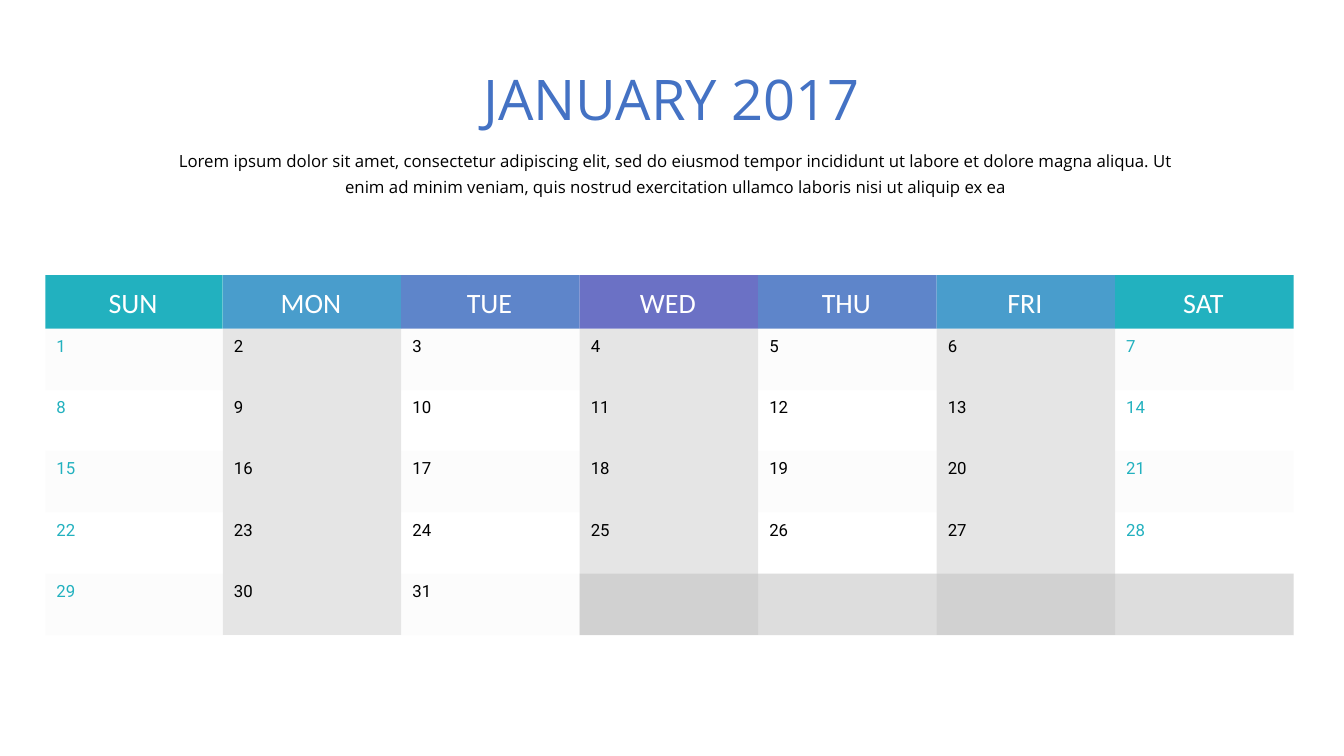
from pptx import Presentation
from pptx.dml.color import RGBColor
from pptx.enum.shapes import MSO_SHAPE as Shape
from pptx.enum.text import MSO_ANCHOR as Anchor, MSO_AUTO_SIZE as Auto, PP_ALIGN as Align
from pptx.oxml.ns import qn
from pptx.util import Emu, Pt
from lxml.etree import SubElement

SCALE = 9144
LEFT, TOP, WIDE, HEAD, TALL = 45, 273, 1238, 53, 61
TEAL, BLUE, SLATE, PLUM = "22B1BF", "499DCC", "5E85CA", "6B71C5"
BLACK, WHITE = "000000", "FFFFFF"
DAYS = [("SUN", TEAL), ("MON", BLUE), ("TUE", SLATE), ("WED", PLUM),
        ("THU", SLATE), ("FRI", BLUE), ("SAT", TEAL)]
LAST = 31


def px(size):
    return Emu(size * SCALE)


def color(code):
    return RGBColor.from_string(code)


def col_x(col):
    return LEFT + WIDE * col // 7


def row_y(row):
    return TOP + HEAD + 243 * row // 4


class Painter:
    title_font = "Open Sans"
    day_font = "Calibri"
    date_font = "Roboto"

    def __init__(self, deck):
        self.slide = deck.slides.add_slide(deck.slide_layouts[5])

    def letter(self, shape, text, size, font, code, align=Align.LEFT,
               anchor=Anchor.MIDDLE, inset=6, wrap=True, fit=Auto.SHAPE_TO_FIT_TEXT):
        frame = shape.text_frame
        frame.margin_left = frame.margin_right = px(inset)
        frame.margin_top = frame.margin_bottom = px(inset)
        frame.word_wrap = wrap
        frame.auto_size = fit
        frame.vertical_anchor = anchor
        line = frame.paragraphs[0]
        line.alignment = align
        run = line.add_run()
        run.text = text
        run.font.size = Pt(size)
        run.font.name = font
        run.font.color.rgb = color(code)
        return line

    def title(self, text, x, y, w, h):
        shape = self.slide.shapes.title
        shape.left, shape.top, shape.width, shape.height = map(px, (x, y, w, h))
        self.letter(shape, text, 40, self.title_font, "4472C4", Align.CENTER,
                    Anchor.TOP, 0, False)

    def text(self, x, y, w, h, *style, **more):
        box = self.slide.shapes.add_textbox(*map(px, (x, y, w, h)))
        return self.letter(box, *style, **more)

    def block(self, x, y, w, h, code, alpha=100):
        shape = self.slide.shapes.add_shape(Shape.RECTANGLE, *map(px, (x, y, w, h)))
        shape.shadow.inherit = False
        shape.line.fill.background()
        shape.fill.solid()
        shape.fill.fore_color.rgb = color(code)
        if alpha < 100:
            tint = next(shape.element.iter(qn("a:srgbClr")))
            SubElement(tint, qn("a:alpha")).set("val", str(alpha * 1000))
        return shape

    def header(self, col, name, code):
        x = col_x(col)
        shape = self.block(x, TOP, col_x(col + 1) - x, HEAD, code)
        self.letter(shape, name, 20, self.day_font, WHITE, Align.CENTER, fit=Auto.NONE)
        shape.text_frame.margin_right = px(8)

    def date(self, day):
        row, col = divmod(day - 1, 7)
        code = TEAL if col in (0, 6) else BLACK
        self.text(col_x(col) + 5, row_y(row), 65, 35, str(day), 12, self.date_font, code)


def main():
    deck = Presentation()
    deck.slide_width, deck.slide_height = px(1333), px(750)
    page = Painter(deck)
    page.title("JANUARY 2017", 472, 64, 388, 67)
    intro = page.text(
        171, 145, 999, 50,
        "Lorem ipsum dolor sit amet, consectetur adipiscing elit, sed do eiusmod "
        "tempor incididunt ut labore et dolore magna aliqua. Ut enim ad minim veniam, "
        "quis nostrud exercitation ullamco laboris nisi ut aliquip ex ea",
        12, page.title_font, BLACK, align=Align.CENTER, anchor=Anchor.TOP, inset=0)
    intro.line_spacing = 1.25
    for col in (1, 3, 5):
        page.block(col_x(col), row_y(0), col_x(col + 1) - col_x(col),
                   row_y(4) + TALL - row_y(0), BLACK, 10)
    for col, (name, code) in enumerate(DAYS):
        page.header(col, name, code)
    for row in (0, 2, 4):
        page.block(LEFT, row_y(row), WIDE, TALL, "E7E6E6", 10)
    rest = col_x(LAST % 7)
    page.block(rest, row_y(4), LEFT + WIDE - rest, TALL, "BFBFBF", 50)
    for day in range(1, LAST + 1):
        page.date(day)
    deck.save("out.pptx")


if __name__ == "__main__":
    main()
